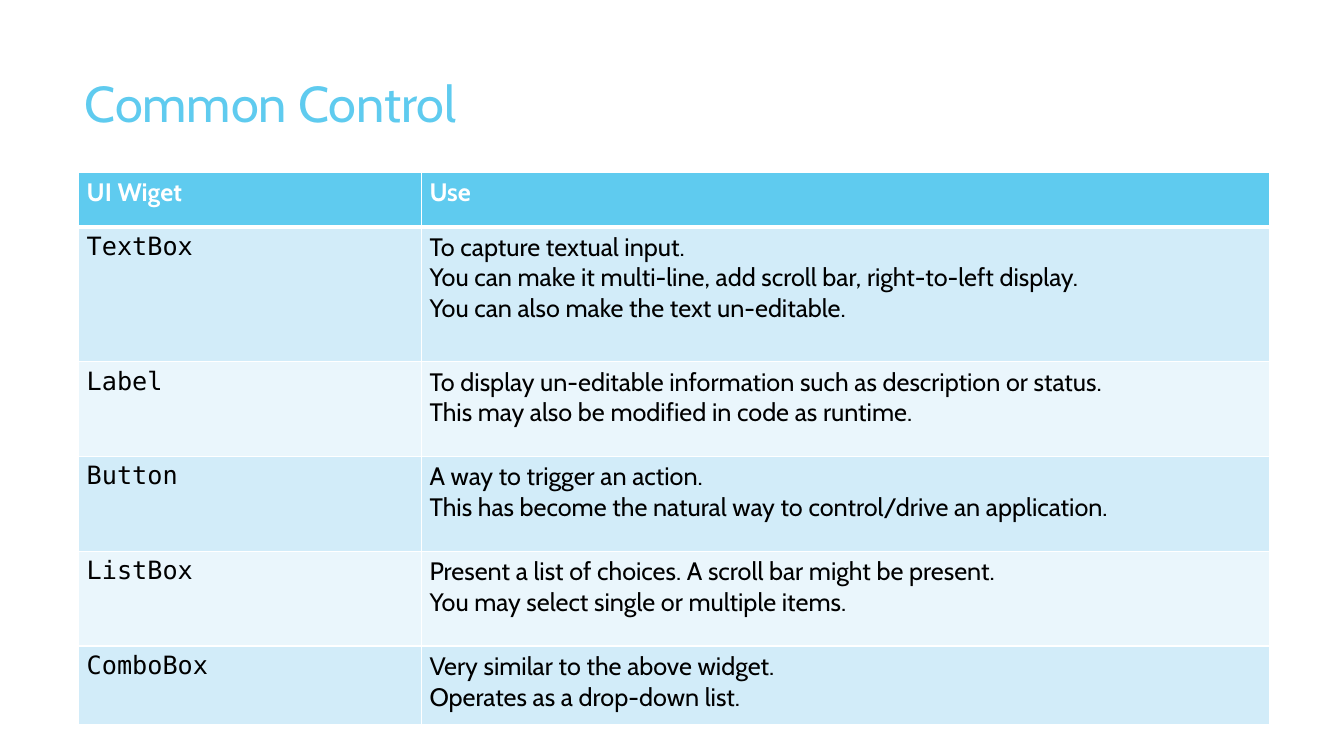
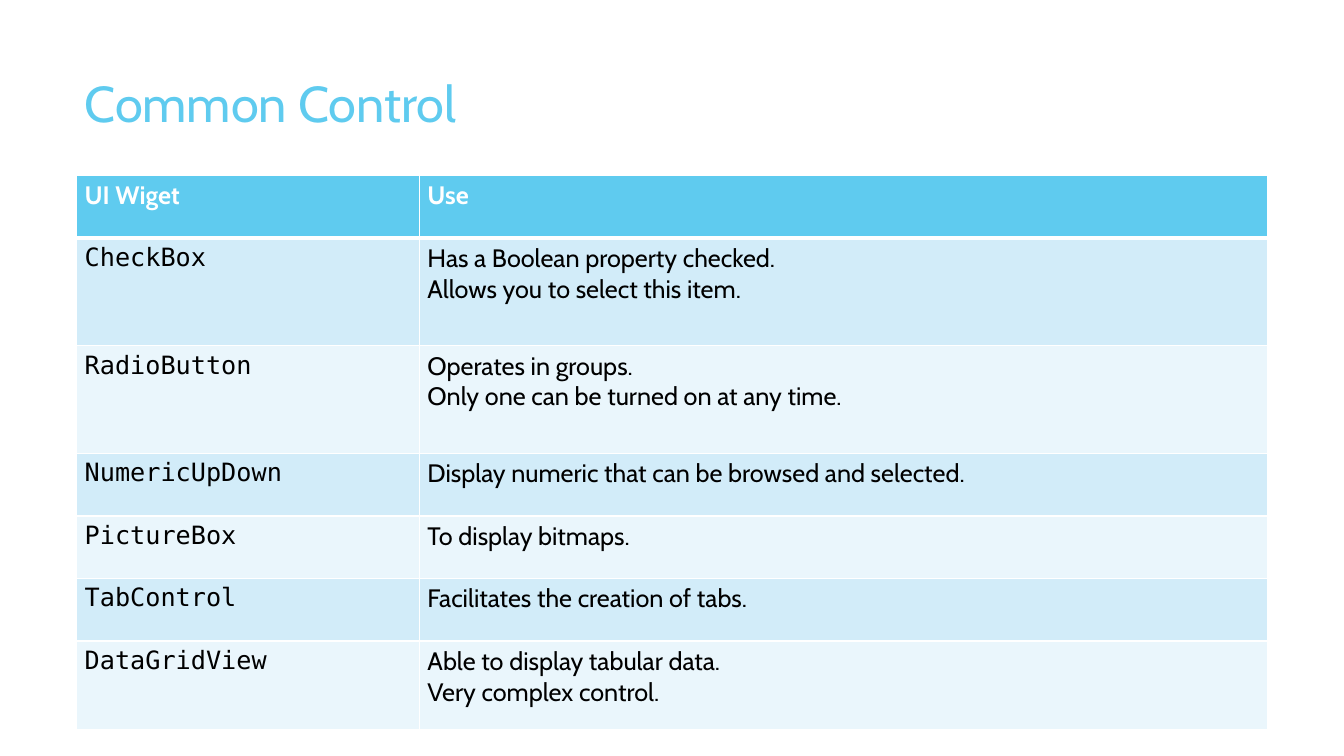
"""Build two slides that list common controls and their use."""
from lxml import etree
from pptx import Presentation
from pptx import util as u
from pptx.dml import color
from pptx.enum import text
from pptx.oxml import ns


class Theme:
    sky = "5FCBEF"
    bands = ("EAF6FC", "D2ECF9")
    white = "FFFFFF"
    black = "000000"
    sans = "Cabin"
    mono = "DejaVu Sans Mono"
    head = 36
    body = 18
    thin = 1
    thick = 3


PX = 9144
COLS = (340, 841)
HEAD = ("UI Wiget", "Use")
TITLE = {"left": 74, "top": 67, "width": 940, "height": 144}
FRAME = {"word_wrap": True, "auto_size": text.MSO_AUTO_SIZE.NONE,
         "vertical_anchor": text.MSO_ANCHOR.TOP}
INSET = {"margin_left": 8, "margin_right": 8, "margin_top": 5, "margin_bottom": 5}

DECK = (
    ("Common Control", (78, 171), 54, (
        ("TextBox", 134, "To capture textual input.\n"
         "You can make it multi-line, add scroll bar, right-to-left display.\n"
         "You can also make the text un-editable."),
        ("Label", 94, "To display un-editable information such as description or status.\n"
         "This may also be modified in code as runtime."),
        ("Button", 94, "A way to trigger an action.\n"
         "This has become the natural way to control/drive an application."),
        ("ListBox", 94, "Present a list of choices. A scroll bar might be present.\n"
         "You may select single or multiple items."),
        ("ComboBox", 78, "Very similar to the above widget.\n"
         "Operates as a drop-down list."),
    )),
    ("Common Control", (76, 174), 62, (
        ("CheckBox", 107, "Has a Boolean property checked.\nAllows you to select this item."),
        ("RadioButton", 107, "Operates in groups.\nOnly one can be turned on at any time."),
        ("NumericUpDown", 62, "Display numeric that can be browsed and selected."),
        ("PictureBox", 62, "To display bitmaps."),
        ("TabControl", 62, "Facilitates the creation of tabs."),
        ("DataGridView", 88, "Able to display tabular data.\nVery complex control."),
    )),
)


def style(frame, name, size, tint, bold=False):
    for para in frame.paragraphs:
        para.alignment = text.PP_ALIGN.LEFT
        for run in para.runs:
            for key, val in {"name": name, "size": u.Pt(size), "bold": bold}.items():
                setattr(run.font, key, val)
            run.font.color.rgb = color.RGBColor.from_string(tint)


def edge(cell, row):
    props = cell._tc.get_or_add_tcPr()
    for side in "LRTB":
        thick = (row, side) in ((0, "B"), (1, "T"))
        width = u.Pt(Theme.thick if thick else Theme.thin)
        line = etree.SubElement(props, ns.qn("a:ln" + side), w=str(width))
        fill = etree.SubElement(line, ns.qn("a:solidFill"))
        etree.SubElement(fill, ns.qn("a:srgbClr"), val=Theme.white)


deck = Presentation()
deck.slide_width, deck.slide_height = 1333 * PX, 750 * PX

for name, (left, top), first, items in DECK:
    slide = deck.slides.add_slide(deck.slide_layouts[5])
    title = slide.shapes.title
    for key, val in TITLE.items():
        setattr(title, key, val * PX)
    for key, val in FRAME.items():
        setattr(title.text_frame, key, val)
    title.text_frame.text = name
    style(title.text_frame, Theme.sans, Theme.head, Theme.sky)

    rows = [(HEAD[0], first, HEAD[1]), *items]
    high = sum(row[1] for row in rows)
    grid = slide.shapes.add_table(len(rows), len(COLS), left * PX, top * PX,
                                  sum(COLS) * PX, high * PX).table
    for col, wide in zip(grid.columns, COLS):
        col.width = wide * PX
    for i, (label, tall, use) in enumerate(rows):
        grid.rows[i].height = tall * PX
        for j, words in enumerate((label, use)):
            cell = grid.cell(i, j)
            cell.text = words
            for key, val in INSET.items():
                setattr(cell, key, val * PX)
            edge(cell, i)
            cell.fill.solid()
            tint = Theme.bands[i % 2] if i else Theme.sky
            cell.fill.fore_color.rgb = color.RGBColor.from_string(tint)
            face = Theme.mono if i and j == 0 else Theme.sans
            ink = Theme.black if i else Theme.white
            style(cell.text_frame, face, Theme.body, ink, i == 0)

deck.save("out.pptx")
